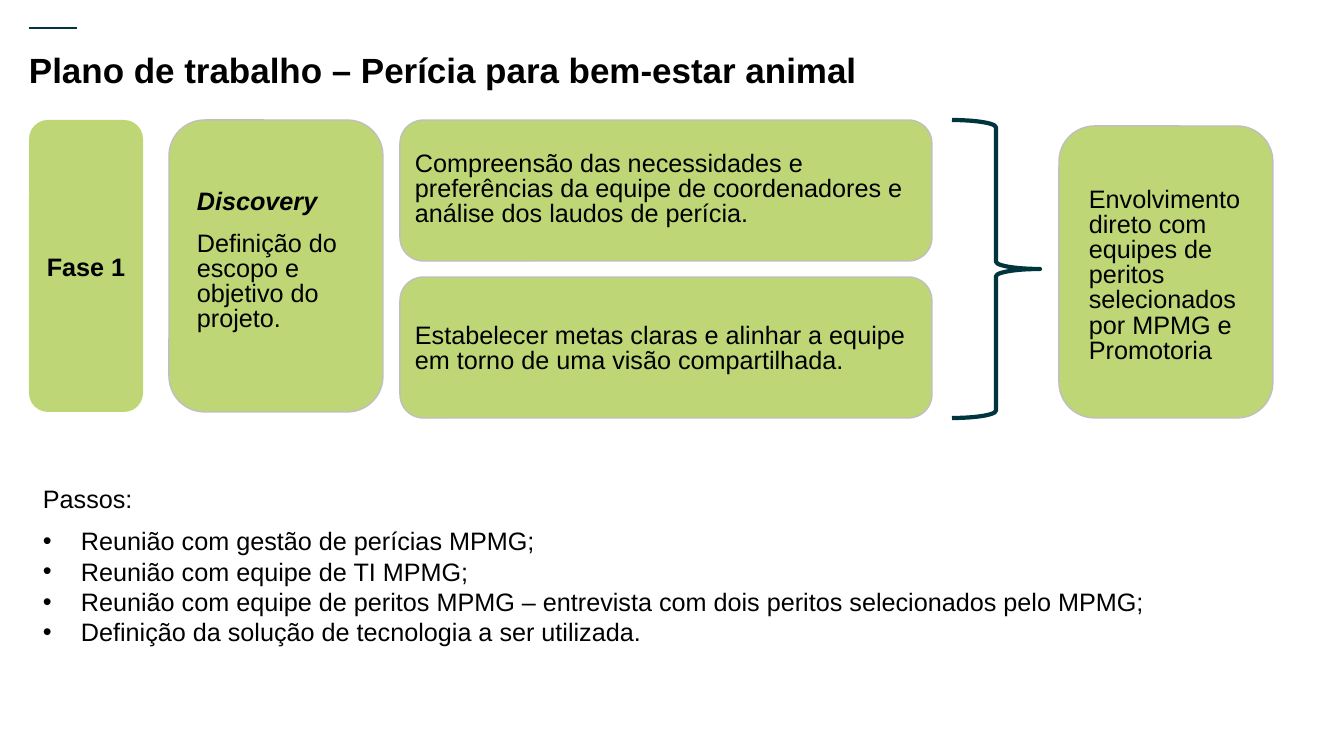
"""Builds the phase 1 work plan slide for the animal welfare expertise project."""
from lxml import etree
from pptx import Presentation
from pptx.dml.color import RGBColor
from pptx.enum.shapes import MSO_CONNECTOR, MSO_SHAPE
from pptx.enum.text import MSO_ANCHOR, PP_ALIGN
from pptx.oxml.ns import qn
from pptx.util import Pt

PX = 914400 / 100.8
ROUNDED, BRACE = MSO_SHAPE.ROUNDED_RECTANGLE, MSO_SHAPE.RIGHT_BRACE
STRAIGHT = MSO_CONNECTOR.STRAIGHT
CENTER, JUSTIFY = PP_ALIGN.CENTER, PP_ALIGN.JUSTIFY
TOP, MIDDLE = MSO_ANCHOR.TOP, MSO_ANCHOR.MIDDLE
COLORS = {name: RGBColor.from_string(value) for name, value in {
    "lime": "AECC53", "border": "BFBFBF", "navy": "00353E", "black": "000000",
}.items()}

deck = Presentation()
deck.slide_width, deck.slide_height = round(1344 * PX), round(756 * PX)
page = deck.slides.add_slide(deck.slide_layouts[6])


def add_preset(kind, bounds, fill=None, line=None, width=1):
    shape = page.shapes.add_shape(kind, *[round(value * PX) for value in bounds])
    shape.shadow.inherit = False
    if fill:
        shape.fill.solid()
        shape.fill.fore_color.rgb = COLORS[fill]
    else:
        shape.fill.background()
    if line:
        shape.line.color.rgb = COLORS[line]
        shape.line.width = Pt(width)
    else:
        shape.line.fill.background()
    return shape


def add_text(bounds, lines, size=18, bold=False, inset=True, anchor=TOP):
    box = page.shapes.add_textbox(*[round(value * PX) for value in bounds])
    frame = box.text_frame
    frame.word_wrap = True
    frame.vertical_anchor = anchor
    if not inset:
        frame.margin_left = frame.margin_right = frame.margin_top = frame.margin_bottom = 0
    frame.text = "\n".join(lines)
    for para in frame.paragraphs:
        for span in para.runs:
            span.font.name = "Arial"
            span.font.size = Pt(size)
            span.font.bold = bold
            span.font.color.rgb = COLORS["black"]
    return frame.paragraphs


accent = page.shapes.add_connector(STRAIGHT, *[round(value * PX) for value in (29, 28, 77, 28)])
accent.line.color.rgb = COLORS["navy"]
accent.line.width = Pt(2)
etree.SubElement(accent._element.spPr, qn("a:effectLst"))

add_text((29, 49, 1285, 72), ["Plano de trabalho – Perícia para bem-estar animal"],
         size=25, bold=True, inset=False)

cards = [
    ((29, 120, 114, 292), None),
    ((169, 120, 214, 292), "border"),
    ((400, 120, 532, 141), "border"),
    ((400, 277, 532, 141), "border"),
    ((1059, 126, 214, 292), "border"),
]
for bounds, line in cards:
    card = add_preset(ROUNDED, bounds, fill="lime", line=line)
    tint = card._element.spPr.find(qn("a:solidFill"))[0]
    etree.SubElement(tint, qn("a:alpha"), val="80000")

add_preset(BRACE, (952, 120, 88, 298), line="navy", width=3)

phase = add_text(cards[0][0], ["Fase 1"], bold=True, anchor=MIDDLE)
phase[0].alignment = CENTER

card_texts = [
    ((187, 185, 175, 154), ["Discovery", "Definição do escopo e objetivo do projeto."]),
    ((405, 147, 523, 87), ["Compreensão das necessidades e preferências da equipe de "
                           "coordenadores e análise dos laudos de perícia."]),
    ((405, 319, 523, 62), ["Estabelecer metas claras e alinhar a equipe em torno de uma "
                           "visão compartilhada."]),
    ((1079, 183, 175, 188), ["Envolvimento direto com equipes de peritos selecionados "
                             "por MPMG e Promotoria"]),
]
for bounds, lines in card_texts:
    for para in add_text(bounds, lines):
        para.line_spacing = Pt(18)
        para.space_before = Pt(12)
        if para.text == "Discovery":
            para.runs[0].font.bold = para.runs[0].font.italic = True
        else:
            para.space_after = Pt(12)

steps = add_text((33, 478, 1155, 175), [
    "Passos:",
    "Reunião com gestão de perícias MPMG;",
    "Reunião com equipe de TI MPMG;",
    "Reunião com equipe de peritos MPMG – entrevista com dois peritos selecionados pelo MPMG;",
    "Definição da solução de tecnologia a ser utilizada.",
])
for para in steps:
    para.alignment = JUSTIFY
steps[0].space_after = Pt(9)
for para in steps[1:]:
    properties = para._p.get_or_add_pPr()
    properties.set("marL", str(round(38 * PX)))
    properties.set("indent", str(round(-38 * PX)))
    etree.SubElement(properties, qn("a:buFont"), typeface="Arial")
    etree.SubElement(properties, qn("a:buChar"), char="•")

deck.save("out.pptx")
